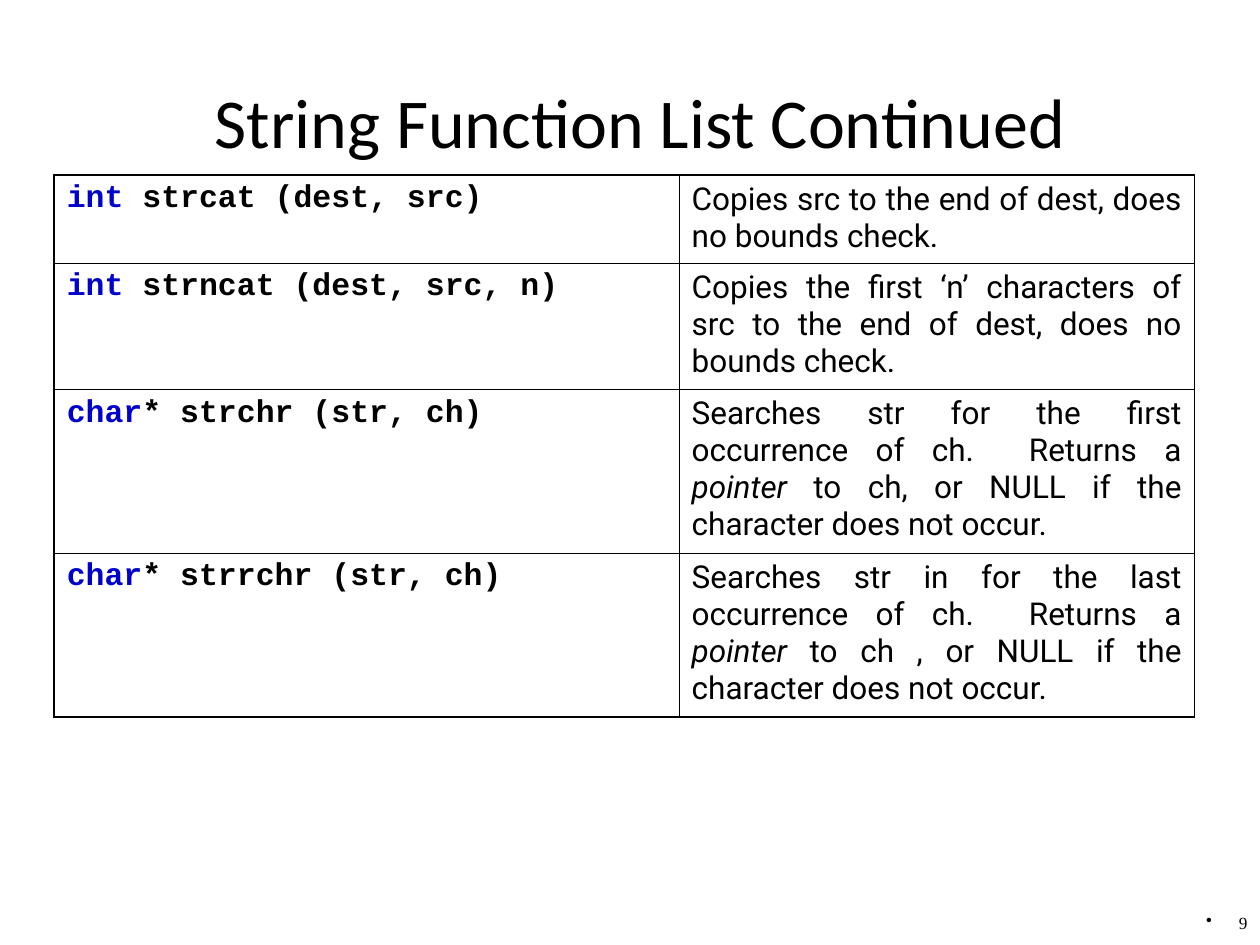
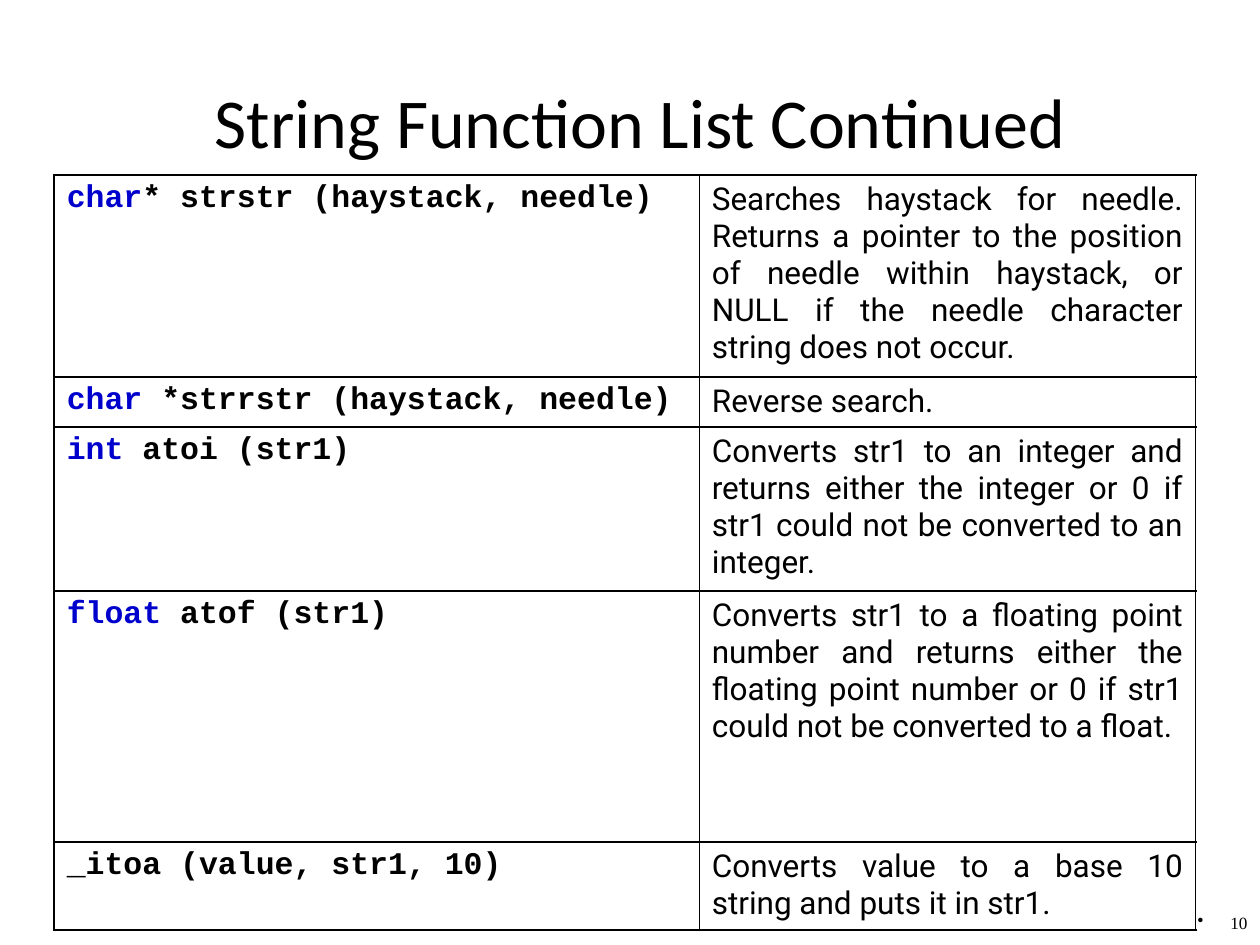
from lxml import etree
from pptx import Presentation
from pptx.dml.color import RGBColor
from pptx.enum.text import MSO_ANCHOR, PP_ALIGN
from pptx.oxml.ns import qn
from pptx.util import Pt

MIDDLE, TOP = MSO_ANCHOR.MIDDLE, MSO_ANCHOR.TOP
CENTER, RIGHT, JUSTIFY = PP_ALIGN.CENTER, PP_ALIGN.RIGHT, PP_ALIGN.JUSTIFY

EMU_PER_PX = 9144
COLORS = {"ink": "000000", "keyword": "0000CC"}
TITLE_FONT, CODE_FONT, BODY_FONT, NUMBER_FONT = "Calibri", "Courier New", "Roboto", "Times New Roman"
THIN, THICK = 0.45, 1.08


def px(length):
    return length * EMU_PER_PX


class FunctionDeck:
    """Holds the deck style and the current slide, and draws each kind of element."""

    def __init__(self):
        self.deck = Presentation()
        self.deck.slide_width, self.deck.slide_height = px(1000), px(750)
        self.page = None

    def add_page(self):
        self.page = self.deck.slides.add_slide(self.deck.slide_layouts[6])

    def style(self, span, font, size, color="ink", bold=False, italic=False):
        span.font.name, span.font.size = font, Pt(size)
        span.font.bold, span.font.italic = bold, italic
        span.font.color.rgb = RGBColor.from_string(COLORS[color])

    def add_span(self, para, text, font, size, **look):
        span = para.add_run()
        span.text = text
        self.style(span, font, size, **look)

    def text(self, place, text, font, size, align, anchor, insets=(0, 0)):
        box = self.page.shapes.add_textbox(*map(px, place))
        frame = box.text_frame
        frame.text = text
        frame.word_wrap, frame.vertical_anchor = True, anchor
        frame.margin_left = frame.margin_right = px(insets[0])
        frame.margin_top = frame.margin_bottom = px(insets[1])
        para = frame.paragraphs[0]
        para.alignment = align
        self.style(para.runs[0], font, size)
        return para

    def title(self, text):
        self.text((83, 60, 850, 71), text, TITLE_FONT, 40, CENTER, MIDDLE)

    def page_number(self, number):
        para = self.text((936, 722, 64, 28), str(number), NUMBER_FONT, 9.8, RIGHT, TOP, (10, 5))
        properties = para._p.get_or_add_pPr()
        properties.set("marL", str(px(26)))
        properties.set("indent", str(-px(26)))
        etree.SubElement(properties, qn("a:buChar"), char="•")
        para.line_spacing = 0.8

    def border(self, cell, side, width):
        properties = cell._tc.get_or_add_tcPr()
        line = etree.SubElement(properties, qn(f"a:ln{side}"), w=str(Pt(width)))
        fill = etree.SubElement(line, qn("a:solidFill"))
        etree.SubElement(fill, qn("a:srgbClr"), val=COLORS["ink"])

    def cell(self, cell, widths):
        for side, width in zip("LRTB", widths):
            self.border(cell, side, width)
        cell.fill.background()
        cell.margin_left = cell.margin_right = px(10)
        cell.margin_top = cell.margin_bottom = px(5)
        para = cell.text_frame.paragraphs[0]
        para.alignment, para.space_after = JUSTIFY, Pt(2.2)
        return para

    def function_table(self, column_widths, rule, functions):
        heights = [function[0] for function in functions]
        frame = self.page.shapes.add_table(
            len(functions), 2, px(43), px(139), px(sum(column_widths)), px(sum(heights)))
        table = frame.table
        table.first_row = table.horz_banding = False
        for column, width in zip(table.columns, column_widths):
            column.width = px(width)
        last = len(functions) - 1
        for index, (height, keyword, signature, description) in enumerate(functions):
            table.rows[index].height = px(height)
            top = THICK if index == 0 else rule
            bottom = THICK if index == last else rule
            code = self.cell(table.cell(index, 0), (THICK, THIN, top, bottom))
            if keyword:
                self.add_span(code, keyword, CODE_FONT, 18, color="keyword", bold=True)
            self.add_span(code, signature, CODE_FONT, 18, bold=True)
            body = self.cell(table.cell(index, 1), (THIN, THICK, top, bottom))
            for part, text in enumerate(description.split("*")):
                self.add_span(body, text, BODY_FONT, 18, italic=part % 2 == 1)


PAGES = [
    (9, (496, 409), THIN, [
        (70, "int", " strcat (dest, src)",
         "Copies src to the end of dest, does no bounds check."),
        (100, "int", " strncat (dest, src, n)",
         "Copies the first ‘n’ characters of src to the end of dest, does no bounds check."),
        (130, "char", "* strchr (str, ch)",
         "Searches str for the first occurrence of ch.  Returns a *pointer *to ch, "
         "or NULL if the character does not occur."),
        (130, "char", "* strrchr (str, ch)",
         "Searches str in for the last occurrence of ch.  Returns a *pointer *to ch , "
         "or NULL if the character does not occur."),
    ]),
    (10, (512, 394), THICK, [
        (160, "char", "* strstr (haystack, needle)",
         "Searches haystack for needle. Returns a pointer to the position of needle "
         "within haystack, or NULL if the needle character string does not occur."),
        (40, "char", " *strrstr (haystack, needle)", "Reverse search."),
        (130, "int", " atoi (str1)",
         "Converts str1 to an integer and returns either the integer or 0 "
         "if str1 could not be converted to an integer."),
        (199, "float", " atof (str1)",
         "Converts str1 to a floating point number and returns either the floating "
         "point number or 0 if str1 could not be converted to a float."),
        (70, "", "_itoa (value, str1, 10)",
         "Converts value to a base 10 string and puts it in str1."),
    ]),
]


def main():
    builder = FunctionDeck()
    for number, column_widths, rule, functions in PAGES:
        builder.add_page()
        builder.title("String Function List Continued")
        builder.function_table(column_widths, rule, functions)
        builder.page_number(number)
    builder.deck.save("out.pptx")


if __name__ == "__main__":
    main()
